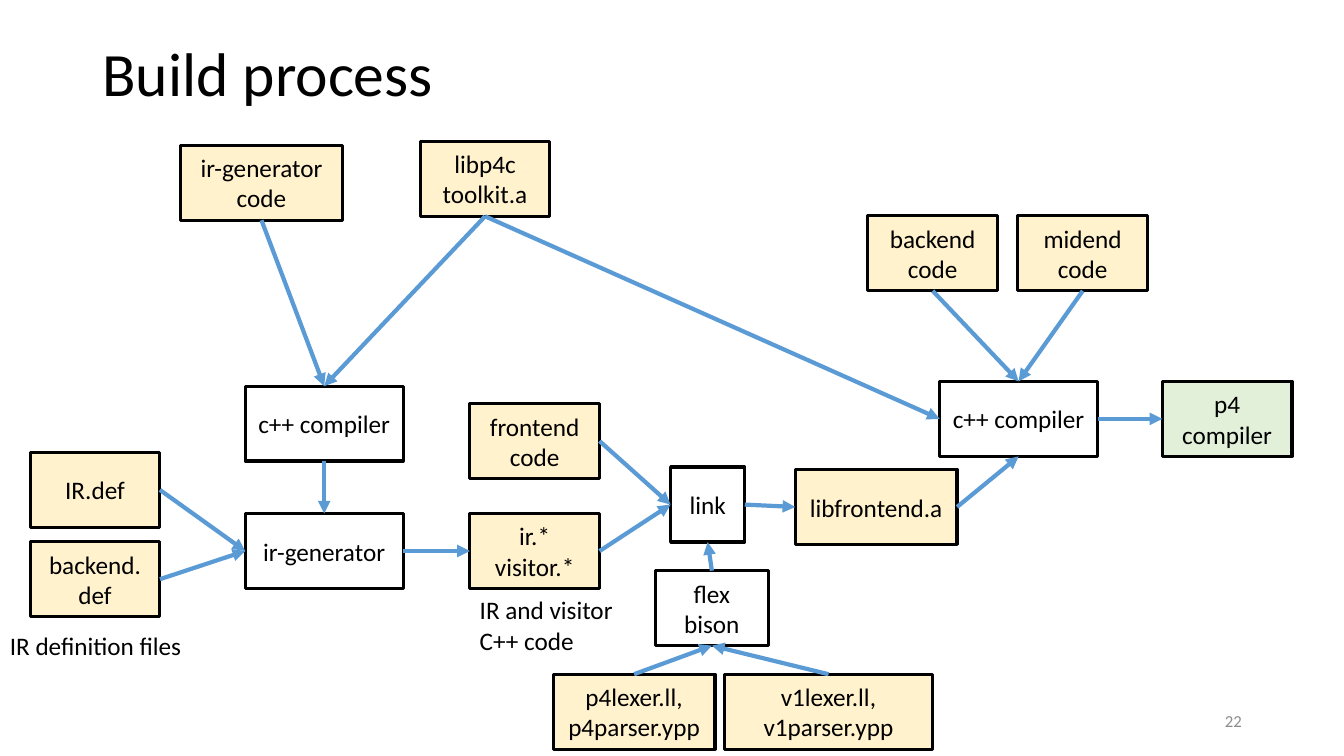
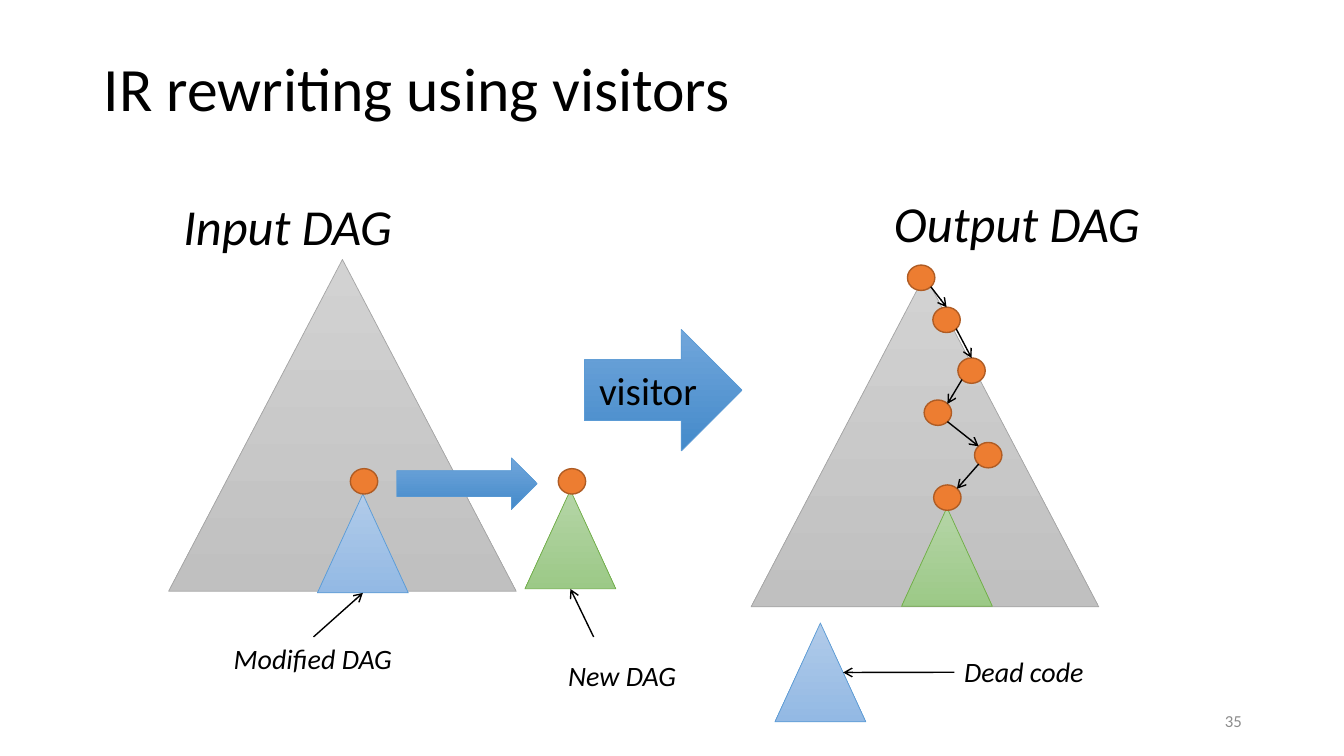
from lxml.etree import SubElement
from pptx import Presentation
from pptx.dml.color import RGBColor
from pptx.enum.shapes import MSO_CONNECTOR, MSO_SHAPE
from pptx.enum.text import MSO_ANCHOR, PP_ALIGN
from pptx.oxml.ns import qn
from pptx.util import Cm, Pt

BLACK = RGBColor(0x00, 0x00, 0x00)
WHITE = RGBColor(0xFF, 0xFF, 0xFF)
CREAM = RGBColor(0xFF, 0xF2, 0xCC)
MINT = RGBColor(0xE2, 0xF0, 0xD9)
BLUE = RGBColor(0x5B, 0x9B, 0xD5)
ORANGE = RGBColor(0xED, 0x7D, 0x31)
RUST = RGBColor(0xAF, 0x5C, 0x24)
DIM = RGBColor(0x8C, 0x8C, 0x8C)

# Each blend holds the top colour, the bottom colour and the outline.
GRAY_MIX = (RGBColor(0xD2, 0xD2, 0xD2), RGBColor(0xC0, 0xC0, 0xC0), RGBColor(0xA5, 0xA5, 0xA5))
GREEN_MIX = (RGBColor(0xB5, 0xD5, 0xA7), RGBColor(0x9C, 0xC9, 0x87), RGBColor(0x70, 0xAD, 0x47))
PALE_MIX = (RGBColor(0xB1, 0xCB, 0xE9), RGBColor(0x93, 0xB9, 0xE4), BLUE)
BLUE_MIX = (RGBColor(0x71, 0xA6, 0xDB), RGBColor(0x44, 0x8A, 0xCA), BLUE)

FONT = "Calibri"
TOP, LEFT, BASE, RIGHT = range(4)
BOX_H = 1.89
BIG = (8.76, 8.36)
SMALL = (2.29, 2.49)


def write(frame, text, size=18, color=BLACK, align=PP_ALIGN.LEFT, italic=False,
          anchor=MSO_ANCHOR.MIDDLE, wrap=True, gap=None):
    """Fill a text frame; each line of the text is a paragraph."""
    frame.text = text
    frame.word_wrap = wrap
    frame.vertical_anchor = anchor
    for par in frame.paragraphs:
        par.alignment = align
        par.line_spacing = gap
        font = par.runs[0].font
        font.name, font.size, font.italic = FONT, Pt(size), italic
        font.color.rgb = color


def spot(shape, across, down):
    """Return the point at these fractions of the width and height of a shape."""
    return (int(shape.left + across * shape.width),
            int(shape.top + down * shape.height))


class Deck:
    """Holds the shared style and the current slide."""

    def __init__(self):
        self.prs = Presentation()
        self.prs.slide_width, self.prs.slide_height = Cm(33.87), Cm(19.05)

    def start(self, title, number, place):
        self.slide = self.prs.slides.add_slide(self.prs.slide_layouts[5])
        self.shapes = self.slide.shapes
        head = self.shapes.title
        head.left, head.top, head.width, head.height = map(Cm, place)
        write(head.text_frame, title, size=44, gap=0.9)
        self.label(number, 23.93, 17.65, 7.62, 1.02, size=12, color=DIM,
                   align=PP_ALIGN.RIGHT, anchor=MSO_ANCHOR.MIDDLE, wrap=True)

    def label(self, text, x, y, w, h, anchor=MSO_ANCHOR.TOP, wrap=False, **style):
        box = self.shapes.add_textbox(Cm(x), Cm(y), Cm(w), Cm(h))
        write(box.text_frame, text, anchor=anchor, wrap=wrap, **style)

    def shape(self, kind, x, y, w, h, edge, weight):
        item = self.shapes.add_shape(kind, Cm(x), Cm(y), Cm(w), Cm(h))
        item.shadow.inherit = False
        item.line.color.rgb = edge
        item.line.width = Pt(weight)
        return item

    def solid(self, kind, x, y, w, h, fill, edge, weight):
        item = self.shape(kind, x, y, w, h, edge, weight)
        item.fill.solid()
        item.fill.fore_color.rgb = fill
        return item

    def blend(self, kind, x, y, w, h, mix):
        """Add a shape shaded from top to bottom."""
        first, last, edge = mix
        item = self.shape(kind, x, y, w, h, edge, 0.5)
        item.fill.gradient()
        item.fill.gradient_angle = 270
        for stop, color in zip(item.fill.gradient_stops, (first, last)):
            stop.color.rgb = color
        return item

    def box(self, text, x, y, w, fill):
        item = self.solid(MSO_SHAPE.RECTANGLE, x, y, w, BOX_H, fill, BLACK, 2.25)
        write(item.text_frame, text, align=PP_ALIGN.CENTER)
        return item

    def cone(self, x, y, size, mix):
        return self.blend(MSO_SHAPE.ISOSCELES_TRIANGLE, x, y, *size, mix)

    def dot(self, x, y):
        return self.solid(MSO_SHAPE.OVAL, x, y, 0.69, 0.64, ORANGE, RUST, 1)

    def line(self, start, end, color=BLACK, weight=1, tip="arrow"):
        item = self.shapes.add_connector(MSO_CONNECTOR.STRAIGHT, *start, *end)
        item.line.color.rgb = color
        item.line.width = Pt(weight)
        SubElement(item.line._get_or_add_ln(), qn("a:tailEnd"), type=tip)
        SubElement(item._element.spPr, qn("a:effectLst"))
        return item

    def join(self, first, side, last, goal):
        """Glue an arrow from a side of one box to a side of another."""
        item = self.line((0, 0), (0, 0), BLUE, 3, "triangle")
        item.begin_connect(first, side)
        item.end_connect(last, goal)


def build(deck):
    deck.start("Build process", "22", (2.33, 0.1, 29.21, 3.68))
    slim, mid, wide = 3.27, 3.98, 4.08
    specs = {
        "def": ("IR.def", 0.76, 11.4, slim, CREAM),
        "back def": ("backend.\ndef", 0.76, 13.65, slim, CREAM),
        "ir gen": ("ir-generator", 6.18, 12.94, mid, WHITE),
        "ir": ("ir.*\nvisitor.*", 11.84, 12.94, slim, CREAM),
        "front": ("frontend\ncode", 11.84, 10.17, slim, CREAM),
        "back": ("backend\ncode", 21.87, 5.44, slim, CREAM),
        "mid": ("midend\ncode", 25.65, 5.44, slim, CREAM),
        "cpp out": ("c++ compiler", 23.68, 9.61, mid, WHITE),
        "p4": ("p4 compiler", 29.29, 9.61, slim, MINT),
        "kit": ("libp4c\ntoolkit.a", 10.59, 3.56, slim, CREAM),
        "gen code": ("ir-generator\ncode", 4.55, 3.66, wide, CREAM),
        "cpp in": ("c++ compiler", 6.18, 9.73, mid, WHITE),
        "link": ("link", 16.9, 11.77, 1.87, WHITE),
        "lib": ("libfrontend.a", 20.04, 11.83, wide, CREAM),
        "flex": ("flex\nbison", 16.51, 14.38, 2.86, WHITE),
        "p4 lex": ("p4lexer.ll,\np4parser.ypp", 13.94, 16.99, wide, CREAM),
        "v1 lex": ("v1lexer.ll,\nv1parser.ypp", 18.26, 16.99, 5.24, CREAM),
    }
    box = {name: deck.box(*spec) for name, spec in specs.items()}
    deck.label("IR definition files", 0, 15.75, 4.9, 1.02)
    deck.label("IR and visitor\nC++ code", 11.84, 14.86, 4.04, 1.8)

    for first, side, last, goal in (
        ("def", RIGHT, "ir gen", LEFT),
        ("back def", RIGHT, "ir gen", LEFT),
        ("gen code", BASE, "cpp in", TOP),
        ("kit", BASE, "cpp in", TOP),
        ("kit", BASE, "cpp out", LEFT),
        ("cpp in", BASE, "ir gen", TOP),
        ("ir gen", RIGHT, "ir", LEFT),
        ("ir", RIGHT, "link", LEFT),
        ("front", RIGHT, "link", LEFT),
        ("p4 lex", TOP, "flex", BASE),
        ("v1 lex", TOP, "flex", BASE),
        ("flex", TOP, "link", BASE),
        ("link", RIGHT, "lib", LEFT),
        ("lib", RIGHT, "cpp out", BASE),
        ("back", BASE, "cpp out", TOP),
        ("mid", BASE, "cpp out", TOP),
        ("cpp out", RIGHT, "p4", LEFT),
    ):
        deck.join(box[first], side, box[last], goal)


def rewrite(deck):
    deck.start("IR rewriting using visitors", "35", (2.36, 0.71, 22.86, 3.18))
    deck.cone(4.25, 6.54, BIG, GRAY_MIX)
    deck.cone(18.93, 6.93, BIG, GRAY_MIX)
    deck.cone(22.72, 12.79, SMALL, GREEN_MIX)
    new = deck.cone(13.23, 12.35, SMALL, GREEN_MIX)
    old = deck.cone(8, 12.45, SMALL, PALE_MIX)
    dead = deck.cone(19.53, 15.7, SMALL, PALE_MIX)

    arrow = MSO_SHAPE.RIGHT_ARROW
    pass_by = deck.blend(arrow, 14.73, 8.3, 3.97, 3.06, BLUE_MIX)
    write(pass_by.text_frame, "visitor", size=28, align=PP_ALIGN.CENTER)
    deck.blend(arrow, 10, 11.54, 3.54, 1.3, BLUE_MIX)

    for x in (8.83, 14.07):
        deck.dot(x, 11.81)
    chain = [deck.dot(x, y) for x, y in (
        (22.87, 6.68), (23.51, 7.74), (24.14, 9.02),
        (23.29, 10.08), (24.56, 11.15), (23.53, 12.22))]
    near, far = 0.15, 0.85
    ends = (((far, far), (0.5, 0)), ((far, far), (0.5, 0)),
            ((near, far), (far, near)), ((far, far), (near, near)),
            ((near, far), (far, near)))
    for first, last, (leave, reach) in zip(chain, chain[1:], ends):
        deck.line(spot(first, *leave), spot(last, *reach))

    deck.line((Cm(7.9), Cm(16.05)), spot(old, 0.5, 1))
    deck.line((Cm(14.96), Cm(16.05)), spot(new, 0.5, 1))
    deck.line((Cm(24.05), Cm(16.94)), spot(dead, 0.75, 0.5))

    for text, x, y, w, h, size in (
        ("Input DAG", 4.37, 4.78, 5.82, 1.8, 36),
        ("Output DAG", 22.28, 4.72, 6.76, 1.8, 36),
        ("Modified DAG", 5.64, 16.05, 4.55, 1.11, 20),
        ("New DAG", 14.07, 16.46, 3.25, 1.11, 20),
        ("Dead code", 24.05, 16.38, 3.53, 1.11, 20),
    ):
        deck.label(text, x, y, w, h, size=size, italic=True)


def main():
    deck = Deck()
    build(deck)
    rewrite(deck)
    deck.prs.save("out.pptx")


if __name__ == "__main__":
    main()
